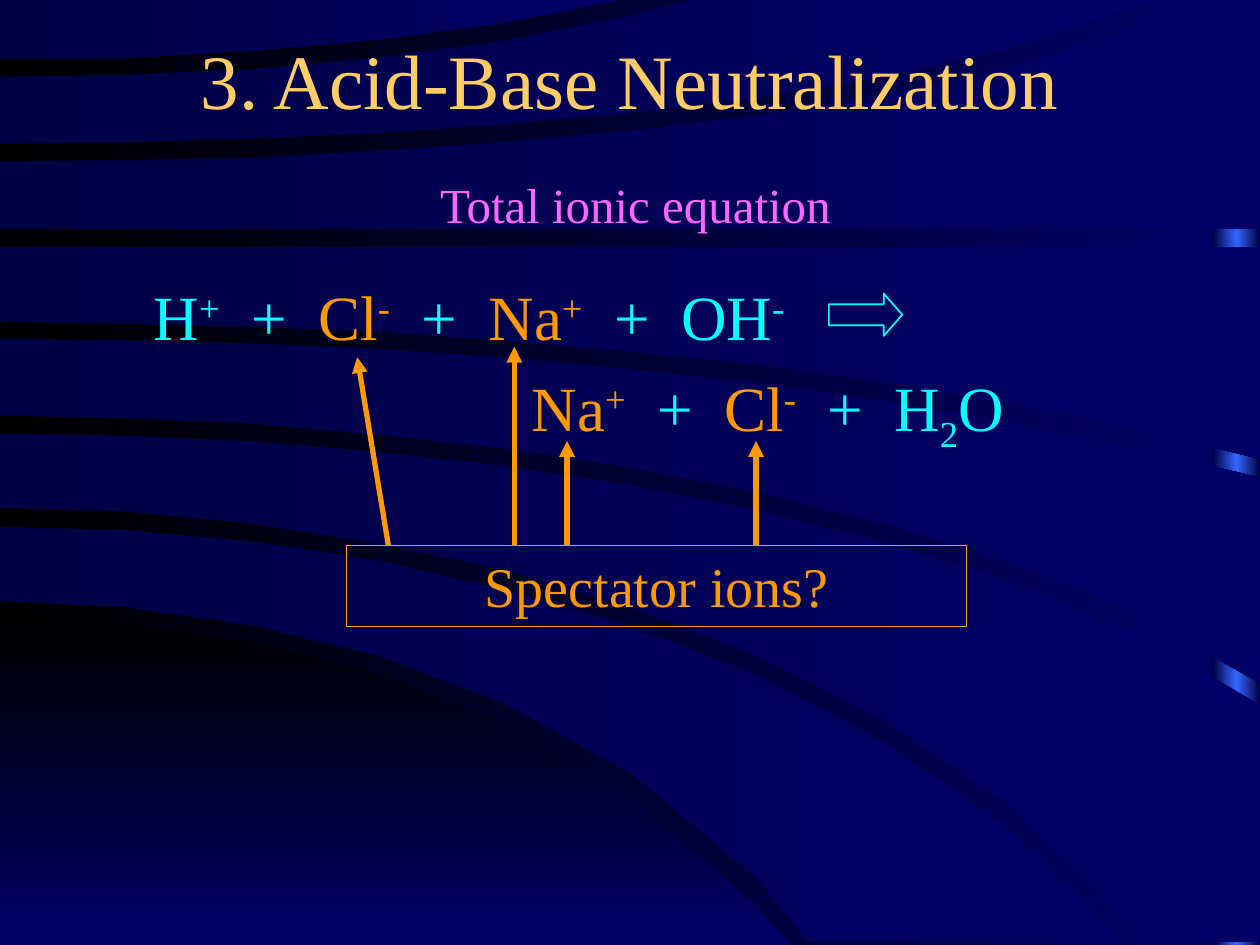
from copy import deepcopy
from dataclasses import dataclass

from pptx import Presentation
from pptx import util as u
from pptx.dml.color import RGBColor
from pptx.enum import shapes, text
from pptx.oxml import ns
from lxml import etree


@dataclass(frozen=True)
class Theme:
    font: str = "Times New Roman"
    black: str = "000000"
    band: str = "000044"
    navy: str = "000066"
    strip: str = "3366FF"
    title: str = "FFCC66"
    subtitle: str = "FF66FF"
    reacting: str = "00FFFF"
    spectator: str = "FF9900"
    title_size: int = 44
    equation_size: int = 36
    callout_size: int = 32
    subtitle_size: int = 28


theme = Theme()
WIDTH, HEIGHT = 25.4, 19.05
GRID = WIDTH / 10


def curve(heights, *end):
    """Points in cm at equal steps across the slide, then an optional end point."""
    return [(column * GRID, y) for column, y in enumerate(heights)] + list(end)


def set_gradient(fill, start, finish, angle=0):
    fill.gradient()
    fill.gradient_angle = angle
    for stop, color in zip(fill.gradient_stops, (start, finish)):
        stop.color.rgb = RGBColor.from_string(color)


presentation = Presentation()
presentation.slide_width = u.Cm(WIDTH)
presentation.slide_height = u.Cm(HEIGHT)
slide = presentation.slides.add_slide(presentation.slide_layouts[6])
set_gradient(slide.background.fill, theme.black, theme.navy)

# Bright strip on the right, seen only between the bands
strip = slide.shapes.add_shape(
    shapes.MSO_SHAPE.RECTANGLE, u.Cm(24.46), 0, u.Cm(0.94), u.Cm(HEIGHT))
strip.shadow.inherit = False
strip.line.fill.background()
set_gradient(strip.fill, theme.band, theme.strip)
first_stop, middle_stop = strip._element.spPr.iter(ns.qn("a:gs"))
middle_stop.set("pos", "50000")
last_stop = deepcopy(first_stop)
last_stop.set("pos", "100000")
middle_stop.addnext(last_stop)

# Edges of the curved bands, from the bottom of the slide to the top
pool_top = curve([12.47, 12.6, 12.95, 13.61, 14.58, 16.03, 18.24], (15.95, 19.05))
band_1_low = curve([12.12, 12.24, 12.6, 13.21, 14.17, 15.57, 17.68], (16.31, 19))
band_1_top = curve([10.62, 10.69, 10.92, 11.3, 11.89, 12.62, 13.61, 14.94, 16.69],
                   (22.68, 19))
band_2_low = curve([10.24, 10.31, 10.55, 10.95, 11.48, 12.24, 13.21, 14.5, 16.21, 18.72],
                   (23.09, 19))
band_2_top = curve([8.74, 8.79, 8.9, 9.12, 9.4, 9.78, 10.29, 10.92, 11.71, 12.73, 14.22])
band_3_low = curve([8.38, 8.43, 8.53, 8.76, 9.04, 9.42, 9.91, 10.54, 11.33, 12.34, 13.77])
band_3_top = curve([6.83, 6.86, 6.93, 7.04, 7.21, 7.44, 7.72, 8.08, 8.51, 9.02, 9.63])
band_4_low = curve([6.48, 6.53, 6.58, 6.68, 6.86, 7.09, 7.34, 7.7, 8.13, 8.64, 9.25])
band_5_top = curve([3.25, 3.23, 3.18, 3.05, 2.87, 2.64, 2.34, 1.94, 1.4, 0.53],
                   (23.95, -0.05))
band_6_low = curve([2.9, 2.87, 2.79, 2.68, 2.5, 2.27, 1.96, 1.56, 1, 0.15],
                   (23.29, -0.05))
band_6_top = curve([1.55, 1.51, 1.4, 1.17, 0.83, 0.32], (14.12, -0.05))
band_7_low = curve([1.19, 1.17, 1.02, 0.8, 0.46], (12.73, -0.05))

pool = pool_top + [(0, HEIGHT)]
bands = [
    band_1_top + band_1_low[::-1],
    band_2_top + [(WIDTH, 19)] + band_2_low[::-1],
    band_3_top + band_3_low[::-1],
    [(0, 4.98), (WIDTH, 4.98)] + band_4_low[::-1],
    band_5_top + [(WIDTH, -0.05), (WIDTH, 4.62), (0, 4.62)],
    band_6_top + band_6_low[::-1],
    [(0, -0.05)] + band_7_low[::-1],
]
surfaces = [(pool, theme.black, 270)] + [(band, theme.band, 0) for band in bands]
for outline, start, angle in surfaces:
    points = [(u.Cm(x), u.Cm(y)) for x, y in outline]
    builder = slide.shapes.build_freeform(*points[0])
    builder.add_line_segments(points[1:], close=True)
    shape = builder.convert_to_shape()
    shape.shadow.inherit = False
    shape.line.fill.background()
    set_gradient(shape.fill, start, theme.navy, angle)

# Ionic equation: (text, colour, baseline shift in thousandths of a percent)
cyan, orange = theme.reacting, theme.spectator
raised, lowered = 30000, -25000
plus = ("  +  ", cyan, 0)
hydrogen = ("H", cyan, 0)
chloride = [("Cl", orange, 0), ("-", orange, raised)]
sodium = [("Na", orange, 0), ("+", orange, raised)]
equation = [
    (0.95, [hydrogen, ("+", cyan, raised), plus, *chloride, plus, *sodium, plus,
            ("OH", cyan, 0), ("-", cyan, raised)]),
    (8.57, [*sodium, plus, *chloride, plus, hydrogen, ("2", cyan, lowered),
            ("O", cyan, 0)]),
]
frame = slide.shapes.add_textbox(
    u.Cm(1.9), u.Cm(5.46), u.Cm(21.6), u.Cm(9.5)).text_frame
frame.word_wrap = True
for number, (indent, parts) in enumerate(equation):
    paragraph = frame.add_paragraph() if number else frame.paragraphs[0]
    paragraph._p.get_or_add_pPr().set("marL", str(u.Cm(indent)))
    if number:
        paragraph.space_before = u.Pt(9)
    for content, color, baseline in parts:
        run = paragraph.add_run()
        run.text = content
        run.font.name = theme.font
        run.font.size = u.Pt(theme.equation_size)
        run.font.color.rgb = RGBColor.from_string(color)
        if baseline:
            run._r.get_or_add_rPr().set("baseline", str(baseline))

reaction_arrow = slide.shapes.add_shape(
    shapes.MSO_SHAPE.RIGHT_ARROW, u.Cm(16.71), u.Cm(5.92), u.Cm(1.48), u.Cm(0.85))
reaction_arrow.adjustments[1] = 0.44
reaction_arrow.shadow.inherit = False
reaction_arrow.fill.background()
reaction_arrow.line.color.rgb = RGBColor.from_string(theme.reacting)
reaction_arrow.line.width = u.Pt(1)

# Title, subtitle and callout
top, middle = text.MSO_ANCHOR.TOP, text.MSO_ANCHOR.MIDDLE
labels = [
    ("3. Acid-Base Neutralization", (1.9, 0, 21.6, 3.18),
     theme.title, theme.title_size, middle, False),
    ("Total ionic equation", (6.56, 3.39, 12.5, 1.45),
     theme.subtitle, theme.subtitle_size, top, False),
    ("Spectator ions?", (6.99, 11, 12.5, 1.63),
     theme.spectator, theme.callout_size, top, True),
]
for content, box, color, size, anchor, framed in labels:
    label = slide.shapes.add_textbox(*map(u.Cm, box))
    frame = label.text_frame
    frame.word_wrap = True
    frame.vertical_anchor = anchor
    frame.text = content
    paragraph = frame.paragraphs[0]
    paragraph.alignment = text.PP_ALIGN.CENTER
    font = paragraph.runs[0].font
    font.name = theme.font
    font.size = u.Pt(size)
    font.color.rgb = RGBColor.from_string(color)
    if framed:
        label.line.color.rgb = RGBColor.from_string(color)
        label.line.width = u.Pt(0.75)

# Arrows from the callout to each spectator ion: start x, tip x, tip y
callout_top = 11
for start_x, tip_x, tip_y in [(10.37, 10.37, 6.99), (11.43, 11.43, 8.89),
                              (7.83, 7.2, 7.2), (15.24, 15.24, 8.89)]:
    pointer = slide.shapes.add_connector(
        shapes.MSO_CONNECTOR.STRAIGHT,
        u.Cm(start_x), u.Cm(callout_top), u.Cm(tip_x), u.Cm(tip_y))
    pointer.line.color.rgb = RGBColor.from_string(theme.spectator)
    pointer.line.width = u.Pt(3)
    etree.SubElement(pointer.line._get_or_add_ln(), ns.qn("a:tailEnd"), type="triangle")
    etree.SubElement(pointer._element.spPr, ns.qn("a:effectLst"))

presentation.save("out.pptx")
